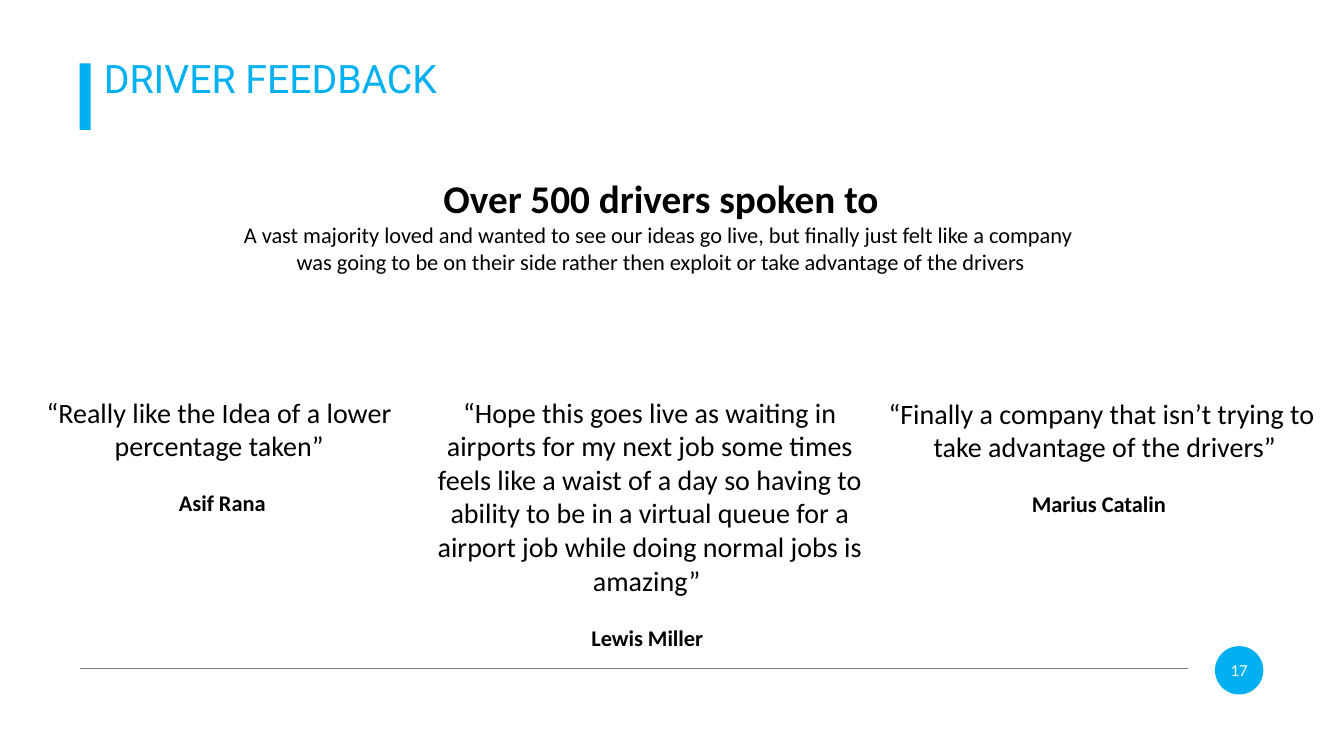
from lxml import etree
from pptx import Presentation
from pptx.dml.color import RGBColor
from pptx.enum.shapes import MSO_CONNECTOR, MSO_SHAPE
from pptx.enum.text import MSO_ANCHOR, MSO_AUTO_SIZE, PP_ALIGN
from pptx.oxml.ns import qn
from pptx.util import Pt

PX = 9144
RECT, OVAL = MSO_SHAPE.RECTANGLE, MSO_SHAPE.OVAL
STRAIGHT = MSO_CONNECTOR.STRAIGHT
LEFT, CENTER = PP_ALIGN.LEFT, PP_ALIGN.CENTER
TOP, MIDDLE = MSO_ANCHOR.TOP, MSO_ANCHOR.MIDDLE
NO_AUTOFIT = MSO_AUTO_SIZE.NONE
ACCENT, BLACK, WHITE, GREY = "00B0F0", "000000", "FFFFFF", "808080"

TITLE = dict(size=Pt(28), name="Roboto", bold=False)
HEADLINE = dict(size=Pt(28), name="Calibri", bold=True)
SUMMARY = dict(size=Pt(16), name="Calibri", bold=False)
QUOTE = dict(size=Pt(20), name="Calibri", bold=False)
DRIVER = dict(size=Pt(16), name="Calibri", bold=True)
PAGE = dict(size=Pt(12), name="Calibri", bold=False)

FINDINGS = [
    "A vast majority loved and wanted to see our ideas go live, "
    "but finally just felt like a company ",
    "was going to be on their side rather then exploit "
    "or take advantage of the drivers",
]
FEEDBACK = [
    (-10, 387, ["“Really like the Idea of a lower ", "percentage taken” "], "Asif Rana"),
    (414, 387, ["“Hope this goes live as waiting in airports for my next job "
                "some times feels like a waist of a day so having to ability "
                "to be in a virtual queue for a airport job while doing normal "
                "jobs is amazing” "], "Lewis Miller "),
    (862, 388, ["“Finally a company that isn’t trying to",
                " take advantage of the drivers”"], "Marius Catalin "),
]


def px(*lengths):
    """Turn pixel lengths into EMU."""
    return [length * PX for length in lengths]


def rgb(value):
    """Turn a hex string into a colour."""
    return RGBColor.from_string(value)


def write_lines(frame, lines, color=BLACK, align=CENTER, anchor=TOP):
    """Fill a text frame with (text, format, space before) paragraphs."""
    frame.word_wrap = True
    frame.auto_size = NO_AUTOFIT
    frame.vertical_anchor = anchor
    for index, (text, style, gap) in enumerate(lines):
        paragraph = frame.add_paragraph() if index else frame.paragraphs[0]
        paragraph.alignment = align
        paragraph.space_before = Pt(gap)
        run = paragraph.add_run()
        run.text = text
        run.font.color.rgb = rgb(color)
        for attribute, value in style.items():
            setattr(run.font, attribute, value)


def add_title(slide, text):
    """Place and format the slide title."""
    title = slide.shapes.title
    title.left, title.top, title.width, title.height = px(93, 49, 638, 57)
    write_lines(title.text_frame, [(text, TITLE, 0)], ACCENT, LEFT)


def add_block(slide, box, lines):
    """Add a centred text box."""
    block = slide.shapes.add_textbox(*px(*box))
    write_lines(block.text_frame, lines)


def add_accent(slide, kind, box):
    """Add a plain accent-coloured shape and return it."""
    accent = slide.shapes.add_shape(kind, *px(*box))
    accent.shadow.inherit = False
    accent.fill.solid()
    accent.fill.fore_color.rgb = rgb(ACCENT)
    accent.line.fill.background()
    return accent


def add_footer_rule(slide, x1, x2, y):
    """Add the thin horizontal rule above the footer."""
    rule = slide.shapes.add_connector(STRAIGHT, *px(x1, y, x2, y))
    rule.line.color.rgb = rgb(GREY)
    rule.line.width = Pt(0.5)
    etree.SubElement(rule.element.spPr, qn("a:effectLst"))


def add_page_badge(slide, number, box):
    """Add the round page number badge."""
    frame = add_accent(slide, OVAL, box).text_frame
    for side in ("left", "right", "top", "bottom"):
        setattr(frame, f"margin_{side}", 0)
    write_lines(frame, [(number, PAGE, 0)], WHITE, anchor=MIDDLE)


def main():
    """Build and save the driver feedback slide."""
    deck = Presentation()
    deck.slide_width, deck.slide_height = px(1333, 750)
    slide = deck.slides.add_slide(deck.slide_layouts[5])
    add_title(slide, "DRIVER FEEDBACK")
    add_accent(slide, RECT, (79, 63, 11, 66))
    add_footer_rule(slide, 79, 1178, 663)
    add_page_badge(slide, "17", (1205, 641, 48, 48))
    for left, top, quote, driver in FEEDBACK:
        lines = [(text, QUOTE, 0) for text in quote]
        add_block(slide, (left, top, 461, 258), lines + [(driver, DRIVER, 19.5)])
    findings = [(text, SUMMARY, 0) for text in FINDINGS]
    add_block(slide, (0, 168, 1311, 111),
              [("Over 500 drivers spoken to", HEADLINE, 0)] + findings)
    deck.save("out.pptx")


if __name__ == "__main__":
    main()
